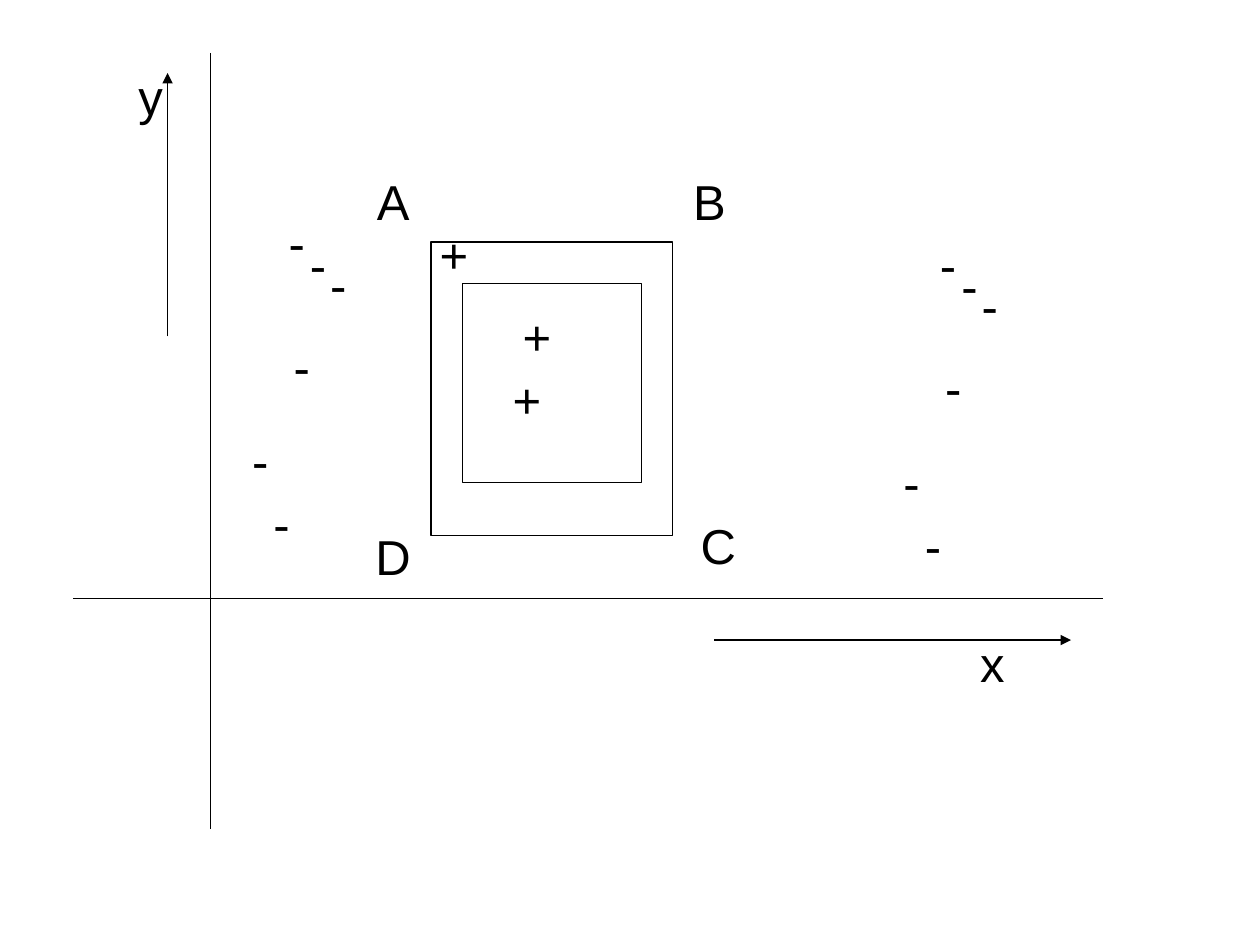
from pptx import Presentation
from pptx.dml.color import RGBColor
from pptx.enum.shapes import MSO_CONNECTOR, MSO_SHAPE
from pptx.enum.text import MSO_AUTO_SIZE, PP_ALIGN
from pptx.oxml.ns import qn
from pptx.util import Inches, Pt
from lxml import etree

RECT = MSO_SHAPE.RECTANGLE
LINE = MSO_CONNECTOR.STRAIGHT
CENTER = PP_ALIGN.CENTER
GROW = MSO_AUTO_SIZE.SHAPE_TO_FIT_TEXT


def color(code):
    return RGBColor.from_string(code)


class Plot:
    """Holds the style and the slide being drawn."""
    font = "Arial"
    ink = "000000"
    weight = 0.75
    high = 0.57

    def __init__(self, slide):
        self.slide = slide

    def stroke(self, line):
        line.color.rgb = color(self.ink)
        line.width = Pt(self.weight)

    def box(self, x, y, w, h):
        shape = self.slide.shapes.add_shape(RECT, *map(Inches, (x, y, w, h)))
        shape.shadow.inherit = False
        shape.fill.background()
        self.stroke(shape.line)

    def line(self, x1, y1, x2, y2, arrow=False):
        link = self.slide.shapes.add_connector(LINE, *map(Inches, (x1, y1, x2, y2)))
        self.stroke(link.line)
        props = link._element.spPr
        if arrow:
            etree.SubElement(props.find(qn("a:ln")), qn("a:tailEnd"), type="triangle")
        etree.SubElement(props, qn("a:effectLst"))

    def text(self, words, x, y, w, size=28, align=CENTER):
        area = self.slide.shapes.add_textbox(*map(Inches, (x, y, w, self.high)))
        frame = area.text_frame
        frame.word_wrap = False
        frame.auto_size = GROW
        para = frame.paragraphs[0]
        para.alignment = align
        run = para.add_run()
        run.text = words
        run.font.name = self.font
        run.font.size = Pt(size)
        run.font.color.rgb = color(self.ink)


def main():
    deck = Presentation()
    deck.slide_width, deck.slide_height = Inches(10), Inches(7.5)
    plot = Plot(deck.slides.add_slide(deck.slide_layouts[6]))

    plot.box(3.42, 1.92, 1.92, 2.33)
    plot.box(3.67, 2.25, 1.42, 1.58)
    corners = [("A", 2.89, 1.31, 0.46), ("B", 5.4, 1.31, 0.46),
               ("D", 2.88, 4.13, 0.48), ("C", 5.46, 4.04, 0.48)]
    for corner in corners:
        plot.text(*corner)
    for x, y in [(3.39, 1.73), (4.05, 2.38), (3.97, 2.88)]:
        plot.text("+", x, y, 0.42)

    plot.line(1.67, 0.42, 1.67, 6.58)
    plot.line(0.58, 4.75, 8.75, 4.75)

    # Both groups of negative points share one pattern
    steps = [(0, 0), (0.17, 0.17), (0.33, 0.33),
             (0.04, 0.98), (-0.29, 1.73), (-0.12, 2.23)]
    for left, top in [(7.36, 1.81), (2.19, 1.64)]:
        for dx, dy in steps:
            plot.text("-", left + dx, top + dy, 0.33)

    plot.text("x", 7.68, 4.98, 0.39)
    plot.text("y", 1, 0.48, 0.39)
    plot.line(1.33, 2.67, 1.33, 0.58, arrow=True)
    plot.line(5.67, 5.08, 8.5, 5.08, arrow=True)
    deck.save("out.pptx")


if __name__ == "__main__":
    main()
